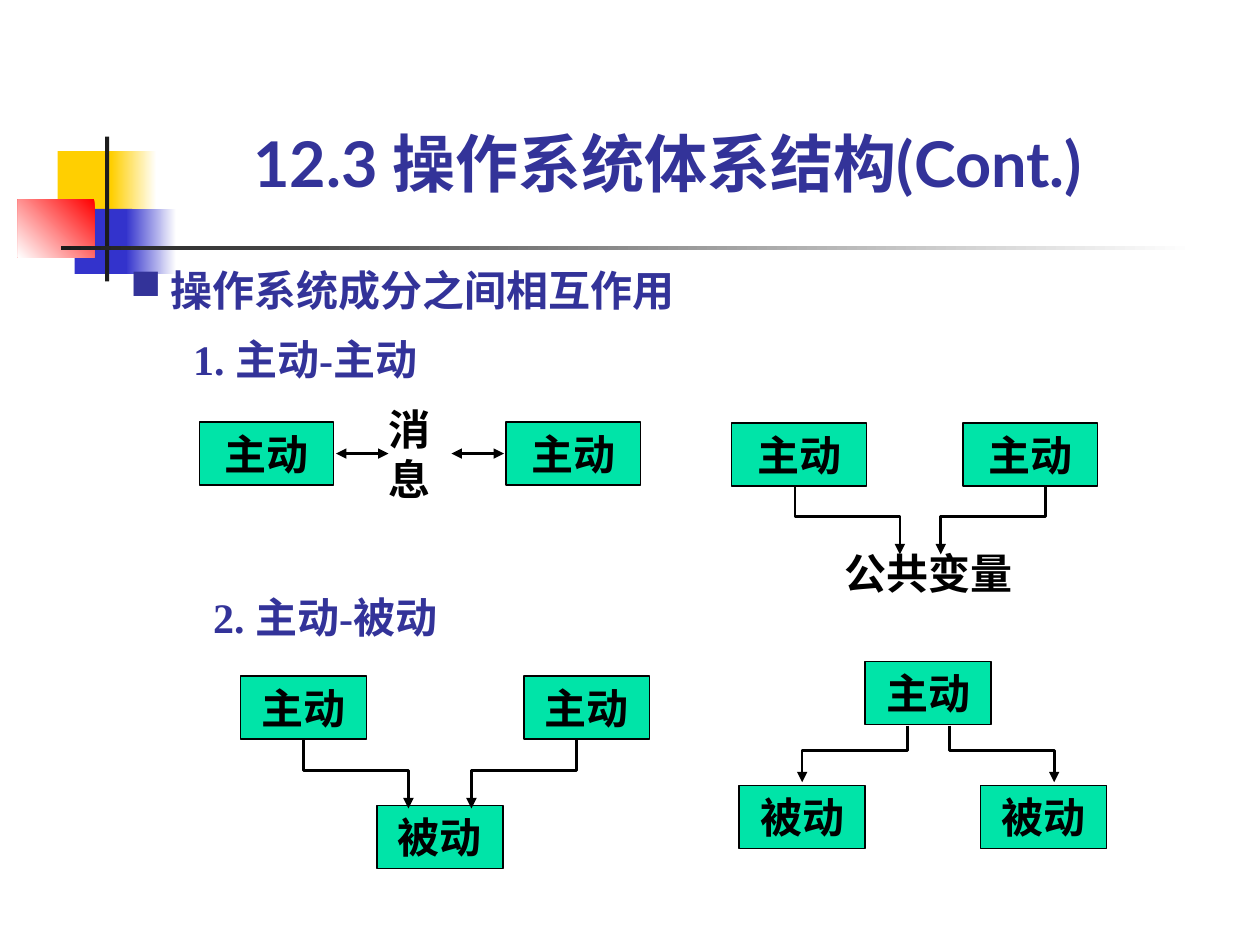
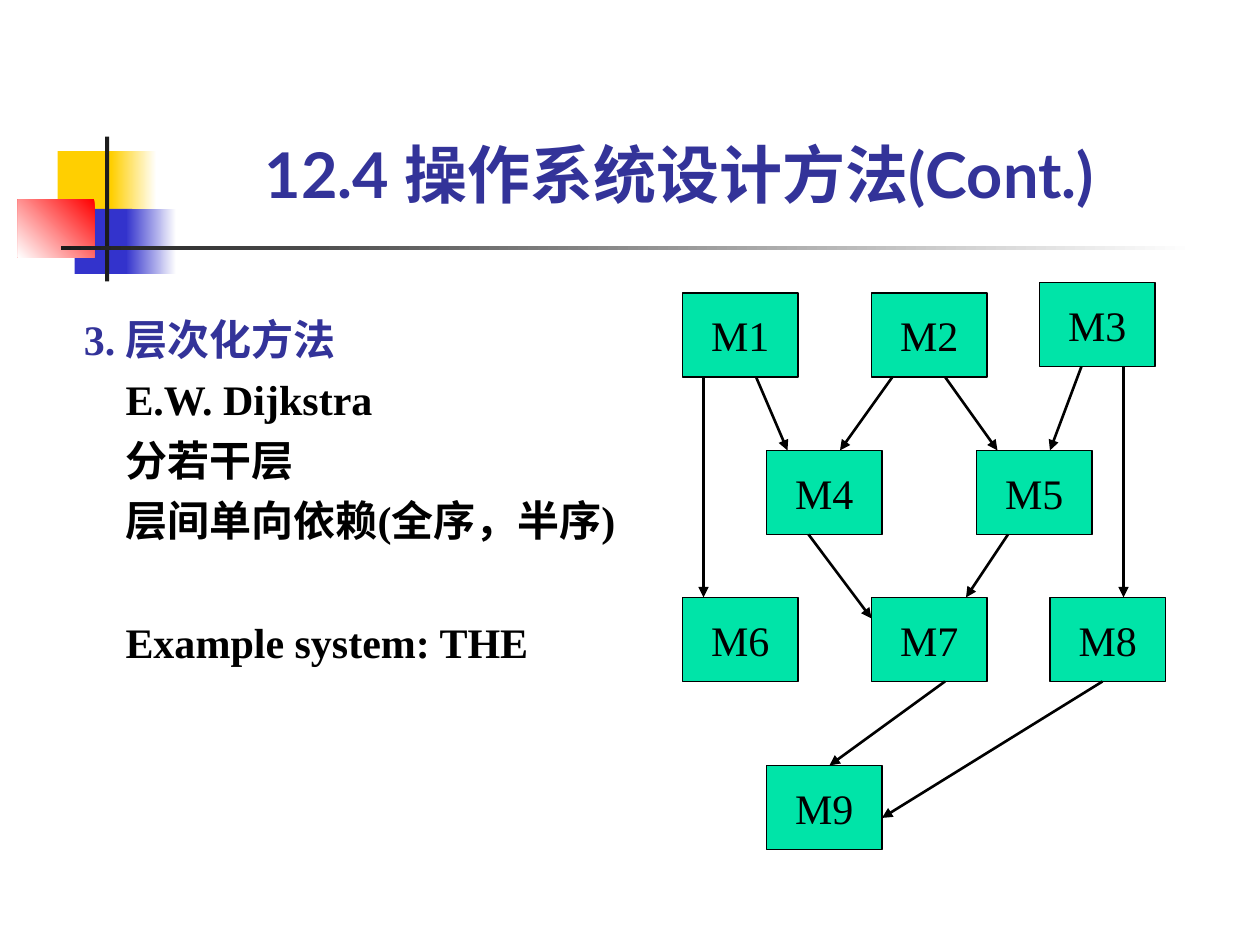
from dataclasses import dataclass
from typing import NamedTuple

from lxml import etree
from pptx import Presentation
from pptx.dml.color import RGBColor
from pptx.enum import shapes, text
from pptx.oxml.ns import qn
from pptx.util import Inches, Pt

COLUMNS, ROWS = 120, 90  # twelve grid steps to the inch


@dataclass(frozen=True)
class Theme:
    ink: str = "000000"
    heading: str = "333399"
    node: str = "00E4A8"
    yellow: str = "FFCF01"
    blue: str = "3333CC"
    red: str = "FF0000"
    dark: str = "1C1C1C"
    white: str = "FFFFFF"
    title_font: str = "Lato"
    body_font: str = "Times New Roman"
    title_size: int = 36
    body_size: int = 24
    border: float = 0.75
    arrow: float = 1.5
    thick_arrow: float = 2


T = Theme()


class Area(NamedTuple):
    col: float
    row: float
    cols: float
    rows: float


class Band(NamedTuple):
    area: Area
    color: str
    end: str = ""  # second gradient colour, if any
    angle: int = 180


class Node(NamedTuple):
    label: str
    col: float
    row: float


class Arrow(NamedTuple):
    x1: float
    y1: float
    x2: float
    y2: float


class Elbow(NamedTuple):
    x1: float
    x2: float
    top: float
    bend: float
    bottom: float
    weight: float = T.arrow


BANDS = [
    Band(Area(5.5, 14.4, 5.8, 6.2), T.yellow),
    Band(Area(10.6, 14.4, 4.3, 6.2), T.white, T.yellow),
    Band(Area(7.1, 19.9, 5.5, 6.2), T.blue),
    Band(Area(12, 19.9, 4.8, 6.2), T.white, T.blue),
    Band(Area(1.7, 19, 7.3, 5.5), T.red, T.white, 225),
    Band(Area(10, 13, 0.4, 13.8), T.dark),
    Band(Area(5.8, 23.4, 108, 0.4), T.white, T.dark),
]

ACTIVE, PASSIVE = "主动", "被动"
WIDE_NODES = [Node(ACTIVE, 19, 40.2), Node(ACTIVE, 48.2, 40.2),
              Node(ACTIVE, 69.7, 40.3), Node(ACTIVE, 91.7, 40.3)]
NARROW_NODES = [Node(ACTIVE, 22.9, 64.4), Node(ACTIVE, 49.9, 64.4), Node(PASSIVE, 35.9, 76.7),
                Node(ACTIVE, 82.4, 63), Node(PASSIVE, 70.4, 74.8), Node(PASSIVE, 93.4, 74.8)]
MESSAGE_ARROWS = [Arrow(32, 43.2, 37, 43.2), Arrow(43, 43.2, 48, 43.2)]
ELBOWS = [
    Elbow(28.9, 38.9, 70.5, 73.4, 77, T.thick_arrow),
    Elbow(54.9, 44.9, 70.5, 73.4, 77, T.thick_arrow),
    Elbow(86.4, 76.4, 69.1, 71.5, 74.5),
    Elbow(90.4, 100.4, 69.1, 71.5, 74.5),
    Elbow(75.7, 85.7, 46.4, 49.2, 52.8),
    Elbow(99.6, 89.6, 46.4, 49.2, 52.8),
]
MODULES = [
    Node("M1", 65, 27.9), Node("M2", 83, 27.9), Node("M3", 99, 26.9),
    Node("M4", 73, 42.9), Node("M5", 93, 42.9),
    Node("M6", 65, 56.9), Node("M7", 83, 56.9), Node("M8", 100, 56.9),
    Node("M9", 73, 72.9),
]
CALLS = [
    Arrow(67, 35.9, 67, 56.9), Arrow(72, 35.9, 75, 42.9),
    Arrow(85, 35.9, 80, 42.9), Arrow(90, 35.9, 95, 42.9),
    Arrow(103, 34.9, 100, 42.9), Arrow(107, 34.9, 107, 56.9),
    Arrow(77, 50.9, 83, 58.9), Arrow(96, 50.9, 92, 56.9),
    Arrow(90, 64.9, 79, 72.9), Arrow(105, 64.9, 84, 77.9),
]


def grid(*steps: float) -> list[int]:
    return [Inches(s / 12) for s in steps]


def rgb(color: str) -> RGBColor:
    return RGBColor.from_string(color)


def write(tf, *lines: str, color: str = T.ink, size: int = T.body_size, font: str = T.body_font,
          bold: bool = True, align=text.PP_ALIGN.LEFT, anchor=text.MSO_ANCHOR.TOP,
          margin: float = 0, wrap: bool = True, spacing: float = 1.0) -> list:
    """Fill a text frame with one paragraph a line and return the paragraphs."""
    tf.auto_size = text.MSO_AUTO_SIZE.NONE
    tf.word_wrap = wrap
    tf.vertical_anchor = anchor
    tf.margin_left = tf.margin_right = Inches(margin)
    tf.margin_top = tf.margin_bottom = Inches(margin / 2)
    for i, line in enumerate(lines):
        p = tf.add_paragraph() if i else tf.paragraphs[0]
        p.alignment, p.line_spacing = align, spacing
        p.space_before = Pt(0)
        r = p.add_run()
        r.text = line
        r.font.name, r.font.size, r.font.bold = font, Pt(size), bold
        r.font.color.rgb = rgb(color)
    return list(tf.paragraphs)


def add_text(slide, area: Area, *lines: str, **style) -> list:
    return write(slide.shapes.add_textbox(*grid(*area)).text_frame, *lines, **style)


def add_rect(slide, area: Area, color: str):
    sp = slide.shapes.add_shape(shapes.MSO_SHAPE.RECTANGLE, *grid(*area))
    sp.shadow.inherit = False
    sp.fill.solid()
    sp.fill.fore_color.rgb = rgb(color)
    sp.line.fill.background()
    return sp


def add_node(slide, node: Node, cols: float, rows: float, **style) -> None:
    sp = add_rect(slide, Area(node.col, node.row, cols, rows), T.node)
    sp.line.color.rgb = rgb(T.ink)
    sp.line.width = Pt(T.border)
    write(sp.text_frame, node.label, align=text.PP_ALIGN.CENTER,
          anchor=text.MSO_ANCHOR.MIDDLE, margin=0.1, **style)


def style_arrow(sp, weight: float, both: bool = False) -> None:
    sp.line.color.rgb = rgb(T.ink)
    sp.line.width = Pt(weight)
    ln = sp.element.spPr.find(qn("a:ln"))
    for end in ("a:headEnd", "a:tailEnd") if both else ("a:tailEnd",):
        etree.SubElement(ln, qn(end), type="triangle")


def add_arrow(slide, arrow: Arrow, both: bool = False) -> None:
    cx = slide.shapes.add_connector(shapes.MSO_CONNECTOR.STRAIGHT, *grid(*arrow))
    style_arrow(cx, T.arrow, both)
    etree.SubElement(cx.element.spPr, qn("a:effectLst"))


def add_elbow(slide, e: Elbow) -> None:
    fb = slide.shapes.build_freeform(*grid(e.x1, e.top))
    corners = [(e.x1, e.bend), (e.x2, e.bend), (e.x2, e.bottom)]
    fb.add_line_segments([grid(*c) for c in corners], close=False)
    sp = fb.convert_to_shape()
    sp.shadow.inherit = False
    sp.fill.background()
    style_arrow(sp, e.weight)


def add_bands(layout, slide) -> None:
    """Draw the shared ornament and hand it to the layout, behind its placeholders."""
    for i, band in enumerate(BANDS):
        sp = add_rect(slide, band.area, band.color)
        if band.end:
            sp.fill.gradient()
            sp.fill.gradient_angle = band.angle
            for stop, color in zip(sp.fill.gradient_stops, (band.color, band.end)):
                stop.color.rgb = rgb(color)
        sp.element.xpath("p:nvSpPr/p:cNvPr")[0].set("id", str(100 + i))
        layout.shapes.element.insert(2 + i, sp.element)


def set_title(slide, area: Area, title: str, **style) -> None:
    sp = slide.shapes.title
    sp.left, sp.top, sp.width, sp.height = grid(*area)
    write(sp.text_frame, title, color=T.heading, size=T.title_size, font=T.title_font, **style)


def add_bullet(p) -> None:
    pPr = p._p.get_or_add_pPr()
    pPr.set("marL", str(Inches(0.32)))
    pPr.set("indent", str(-Inches(0.32)))
    bu_color = etree.SubElement(pPr, qn("a:buClr"))
    etree.SubElement(bu_color, qn("a:srgbClr"), val=T.heading)
    etree.SubElement(pPr, qn("a:buChar"), char="■")


def build_interaction(slide) -> None:
    set_title(slide, Area(24.1, 11.9, 88.8, 7.2), "12.3 操作系统体系结构(Cont.)",
              anchor=text.MSO_ANCHOR.BOTTOM)
    add_bullet(add_text(slide, Area(12.4, 25.2, 58, 4.8), "操作系统成分之间相互作用",
                        color=T.heading)[0])
    add_text(slide, Area(18.4, 31.8, 25.4, 4.8), "1. 主动-主动", color=T.heading)
    add_text(slide, Area(20.3, 56.3, 26, 4.8), "2. 主动-被动", color=T.heading)
    add_text(slide, Area(37, 38.4, 4.6, 9.6), "消息")
    add_text(slide, Area(80.4, 52.1, 17.8, 4.8), "公共变量")
    for node in WIDE_NODES:
        add_node(slide, node, 12.8, 6)
    for node in NARROW_NODES:
        add_node(slide, node, 12, 6)
    for arrow in MESSAGE_ARROWS:
        add_arrow(slide, arrow, both=True)
    for elbow in ELBOWS:
        add_elbow(slide, elbow)


def build_layering(slide) -> None:
    set_title(slide, Area(20.3, 12.9, 88.8, 7.2), "12.4 操作系统设计方法(Cont.)",
              anchor=text.MSO_ANCHOR.MIDDLE, align=text.PP_ALIGN.CENTER)
    heading, *details = add_text(
        slide, Area(8, 28.9, 54, 34.6), "3. 层次化方法", "E.W. Dijkstra", "分若干层",
        "层间单向依赖(全序，半序)", "Example system: THE", spacing=1.2)
    heading.runs[0].font.color.rgb = rgb(T.heading)
    for p in details:
        p._p.get_or_add_pPr().set("marL", str(Inches(0.33)))
    details[-1].space_before = Pt(35)
    for module in MODULES:
        add_node(slide, module, 11, 8, bold=False, wrap=False)
    for call in CALLS:
        add_arrow(slide, call)


def main() -> None:
    prs = Presentation()
    prs.slide_width, prs.slide_height = grid(COLUMNS, ROWS)
    layout = prs.slide_layouts[5]
    interaction, layering = (prs.slides.add_slide(layout) for _ in range(2))
    add_bands(layout, interaction)
    build_interaction(interaction)
    build_layering(layering)
    prs.save("out.pptx")


if __name__ == "__main__":
    main()
